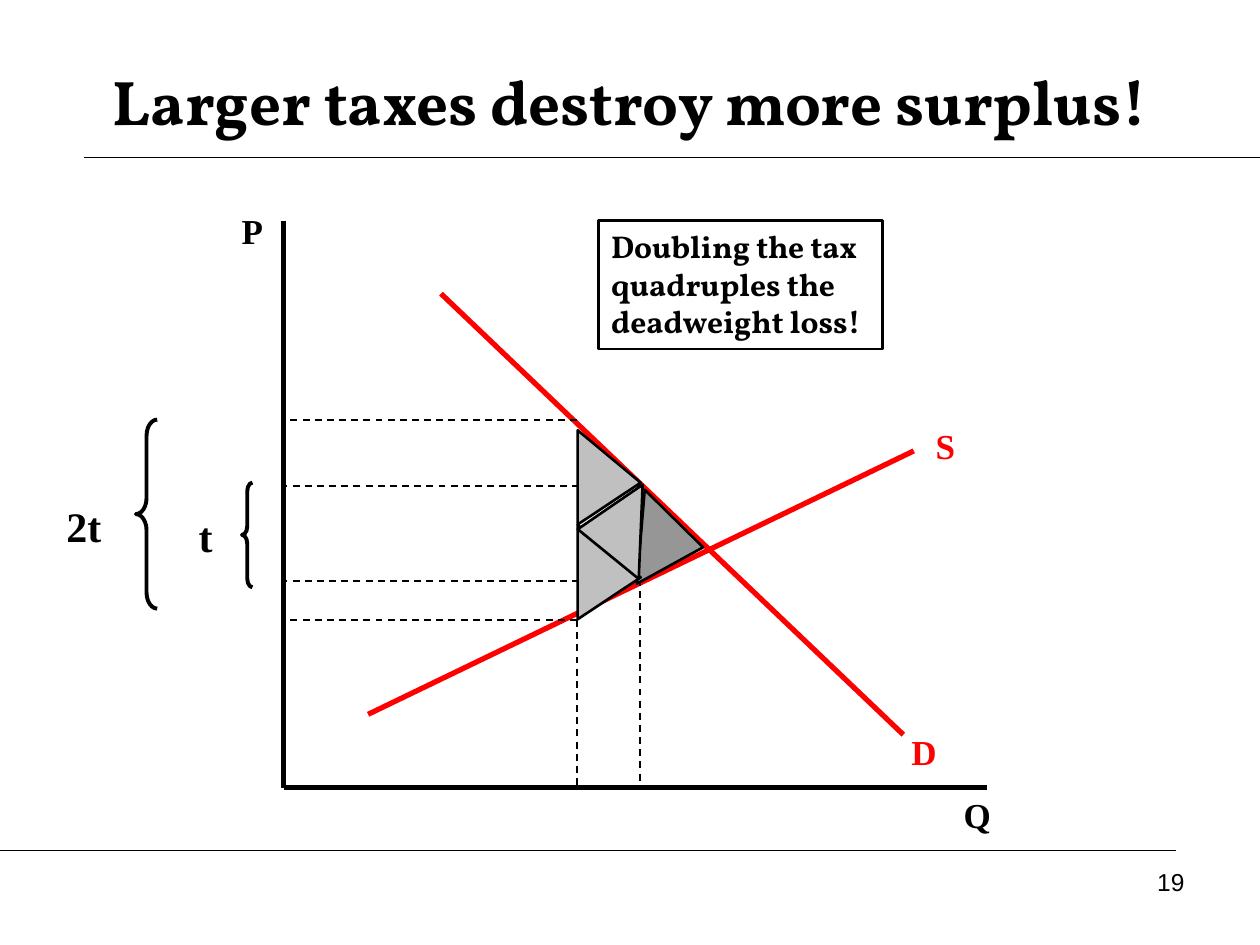
from lxml import etree
from pptx import Presentation
from pptx.dml.color import RGBColor
from pptx.enum import dml, shapes, text
from pptx.oxml import ns
from pptx.util import Cm, Pt

COLORS = {"ink": "000000", "curve": "FF0000", "light": "C0C0C0", "dark": "969696"}
SERIF, DISPLAY = "Times New Roman", "Vollkorn"


def write(box, words, size, font=SERIF, color="ink", bold=True,
          align=text.PP_ALIGN.CENTER, anchor=text.MSO_ANCHOR.TOP):
    frame = box.text_frame
    frame.word_wrap = True
    frame.auto_size = text.MSO_AUTO_SIZE.NONE
    frame.vertical_anchor = anchor
    para = frame.paragraphs[0]
    para.alignment = align
    span = para.add_run()
    span.text = words
    span.font.size, span.font.name, span.font.bold = Pt(size), font, bold
    span.font.color.rgb = RGBColor.from_string(COLORS[color])


def add_outlined(kind, place, width, fill=None):
    shape = page.shapes.add_shape(kind, *map(Cm, place))
    shape.shadow.inherit = False
    shape.line.color.rgb = RGBColor.from_string(COLORS["ink"])
    shape.line.width = Pt(width)
    if fill:
        shape.fill.solid()
        shape.fill.fore_color.rgb = RGBColor.from_string(COLORS[fill])
    else:
        shape.fill.background()
    return shape


deck = Presentation()
deck.slide_width, deck.slide_height = Cm(25.4), Cm(19.05)
page = deck.slides.add_slide(deck.slide_layouts[5])

# Title
title = page.shapes.title
title.left, title.top, title.width, title.height = Cm(1.27), Cm(0.85), Cm(22.86), Cm(2.33)
write(title, "Larger taxes destroy more surplus!", 36, font=DISPLAY,
      anchor=text.MSO_ANCHOR.MIDDLE)

# Key positions of the diagram
axis_x, axis_y = 5.72, 15.88
double_x, single_x = 11.63, 12.9
double_top, single_top, single_bottom, double_bottom = 8.46, 9.8, 11.71, 12.5

# Rules, axes, curves and dashed guides: start, end, color, width, dashed
rules = [((1.7, 3.18), (25.4, 3.18)), ((0, 17.15), (23.7, 17.15)),
         ((3.18, 3.18), (25.4, 3.18)), ((0, 17.15), (17.98, 17.15))]
axes = [((axis_x, 4.45), (axis_x, axis_y)), ((19.89, axis_y), (axis_x, axis_y))]
curves = [((18.42, 9.09), (7.42, 14.4)), ((8.89, 5.92), (18.21, 14.81))]
guides = [((x, y), (axis_x, y)) for x, y in
          [(single_x, single_bottom), (single_x, single_top),
           (double_x, double_top), (double_x, double_bottom)]]
guides += [((single_x, 9.96), (single_x, axis_y)),
           ((double_x, double_bottom), (double_x, axis_y))]
for group, color, width, dashed in [(rules, "ink", 0.75, False), (axes, "ink", 3, False),
                                    (curves, "curve", 3, False), (guides, "ink", 1, True)]:
    for start, end in group:
        line = page.shapes.add_connector(shapes.MSO_CONNECTOR.STRAIGHT,
                                         *map(Cm, start + end))
        line.line.color.rgb = RGBColor.from_string(COLORS[color])
        line.line.width = Pt(width)
        if dashed:
            line.line.dash_style = dml.MSO_LINE.DASH
        etree.SubElement(line._element.spPr, ns.qn("a:effectLst"))

# Deadweight loss triangles
for left, top, angle, peak, fill, flipped in [
        (12.6, 10.24, 94.8, 0.556, "dark", False),
        (11.33, 10.9, 90, 0.556, "light", False),
        (11.33, 8.99, 90, 0.556, "light", False),
        (11.33, 10.06, 272.4, 0.5, "light", True)]:
    triangle = add_outlined(shapes.MSO_SHAPE.ISOSCELES_TRIANGLE,
                            (left, top, 1.9, 1.27), 1.5, fill)
    triangle.adjustments[0] = peak
    triangle.rotation = angle
    if flipped:
        triangle._element.spPr.xfrm.set("flipH", "1")

# Tax braces
for place, curl in [((4.88, 9.73, 0.21, 2.11), 0.833), ((2.74, 8.46, 0.43, 3.81), 0.75)]:
    brace = add_outlined(shapes.MSO_SHAPE.LEFT_BRACE, place, 2.25)
    brace.adjustments[0] = curl

# Labels
for words, left, top, width, height, size, color in [
        ("Q", 18.85, 15.88, 1.7, 1.09, 20, "ink"),
        ("P", 4.24, 4.09, 1.7, 1.09, 20, "ink"),
        ("D", 17.78, 14.61, 1.7, 1.09, 20, "curve"),
        ("S", 18.21, 8.43, 1.7, 1.09, 20, "curve"),
        ("t", 3.61, 10.16, 1.07, 1.27, 24, "ink"),
        ("2t", 0.84, 9.96, 1.7, 1.27, 24, "ink")]:
    label = page.shapes.add_textbox(Cm(left), Cm(top), Cm(width), Cm(height))
    write(label, words, size, color=color)

# Callout
callout = add_outlined(shapes.MSO_SHAPE.RECTANGLE, (12.07, 4.45, 5.72, 2.59), 1.5)
write(callout, "Doubling the tax quadruples the deadweight loss!", 18, font=DISPLAY,
      align=text.PP_ALIGN.LEFT)

# Page number
number = page.shapes.add_textbox(Cm(18.21), Cm(17.35), Cm(5.92), Cm(1.32))
write(number, "19", 14, font="Arial", bold=False, align=text.PP_ALIGN.RIGHT)

deck.save("out.pptx")
